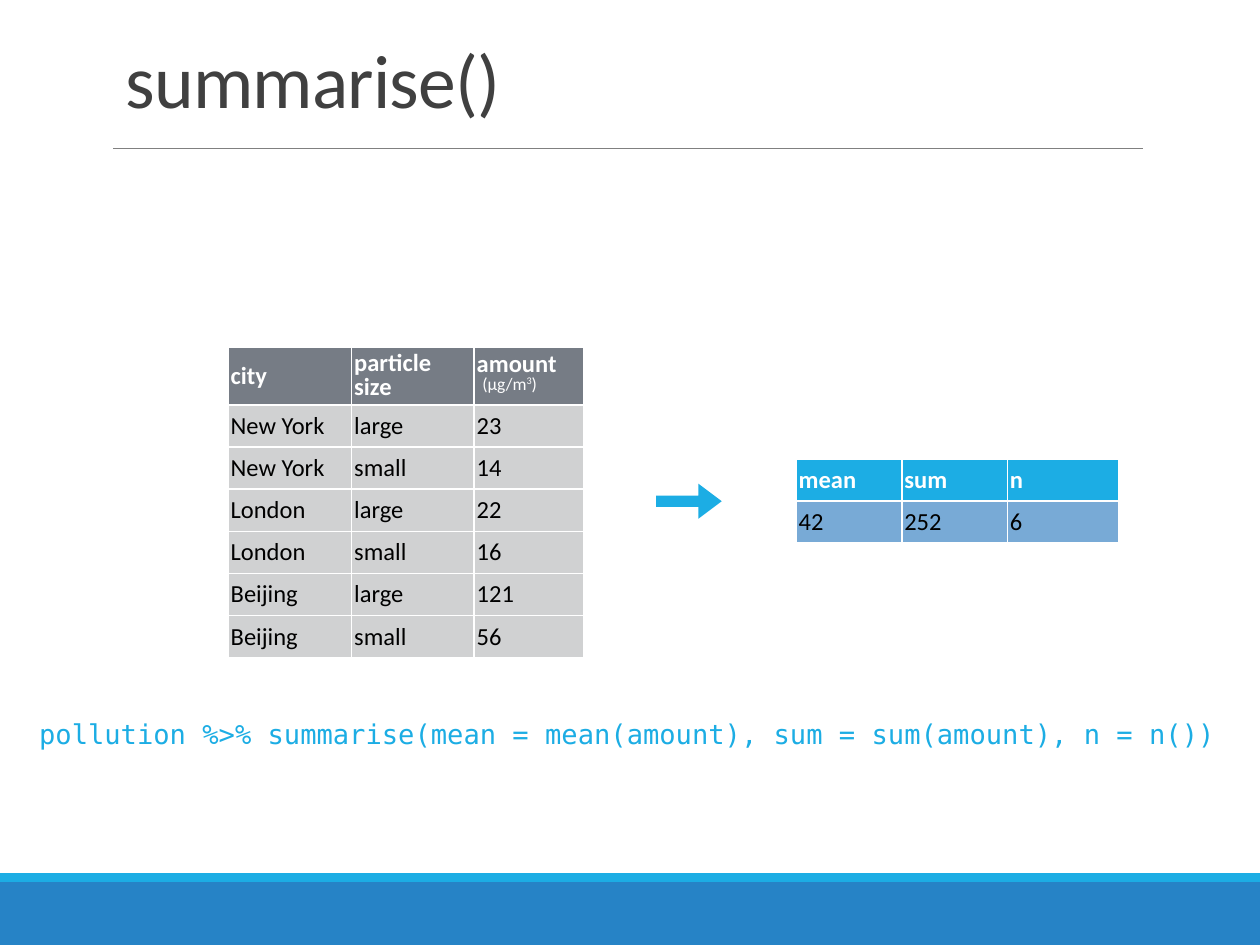
from lxml import etree
from pptx import Presentation
from pptx.dml.color import RGBColor
from pptx.enum.shapes import MSO_CONNECTOR, MSO_SHAPE
from pptx.enum.text import MSO_ANCHOR, PP_ALIGN
from pptx.oxml.ns import qn
from pptx.util import Cm, Pt

RECTANGLE, RIGHT_ARROW = MSO_SHAPE.RECTANGLE, MSO_SHAPE.RIGHT_ARROW
STRAIGHT = MSO_CONNECTOR.STRAIGHT
TOP, MIDDLE, BOTTOM = MSO_ANCHOR.TOP, MSO_ANCHOR.MIDDLE, MSO_ANCHOR.BOTTOM
LEFT = PP_ALIGN.LEFT

COLORS = {
    "band": "2683C6", "accent": "1CADE4", "rule": "808080", "title": "404040",
    "white": "FFFFFF", "black": "000000", "data_head": "767C85",
    "data_body": "D0D1D2", "summary_body": "78AAD6",
}
BODY_FONT, CODE_FONT = "Calibri", "DejaVu Sans Mono"
ROW_HEIGHT = 0.85

POLLUTION = [
    ["city", "particle\vsize", "amount"],
    ["New York", "large", "23"],
    ["New York", "small", "14"],
    ["London", "large", "22"],
    ["London", "small", "16"],
    ["Beijing", "large", "121"],
    ["Beijing", "small", "56"],
]
SUMMARY = [["mean", "sum", "n"], ["42", "252", "6"]]


def rgb(name):
    return RGBColor.from_string(COLORS[name])


def style_font(font, size, color, name=BODY_FONT, bold=False):
    font.name, font.size, font.bold = name, Pt(size), bold
    font.color.rgb = rgb(color)


def add_block(slide, kind, left, top, width, height, color):
    block = slide.shapes.add_shape(kind, Cm(left), Cm(top), Cm(width), Cm(height))
    block.shadow.inherit = False
    block.fill.solid()
    block.fill.fore_color.rgb = rgb(color)
    block.line.fill.background()
    return block


def add_rule(slide, left, right, y):
    rule = slide.shapes.add_connector(STRAIGHT, Cm(left), Cm(y), Cm(right), Cm(y))
    rule.line.color.rgb = rgb("rule")
    rule.line.width = Pt(0.5)
    etree.SubElement(rule.line._get_or_add_ln().getparent(), qn("a:effectLst"))


def add_text(slide, text, left, top, width, height, anchor, inset):
    box = slide.shapes.add_textbox(Cm(left), Cm(top), Cm(width), Cm(height))
    frame = box.text_frame
    frame.word_wrap = True
    frame.vertical_anchor = anchor
    frame.margin_left = frame.margin_right = Cm(inset)
    frame.margin_top = frame.margin_bottom = Cm(min(inset, 0.13))
    frame.text = text
    return frame.paragraphs[0]


def add_borders(cell):
    properties = cell._tc.get_or_add_tcPr()
    for side in ("a:lnL", "a:lnR", "a:lnT", "a:lnB"):
        border = etree.SubElement(properties, qn(side), w=str(Pt(1)))
        fill = etree.SubElement(border, qn("a:solidFill"))
        etree.SubElement(fill, qn("a:srgbClr"), val=COLORS["white"])


def fill_cell(cell, text, fill, color, bold):
    add_borders(cell)
    cell.fill.solid()
    cell.fill.fore_color.rgb = rgb(fill)
    cell.vertical_anchor = MIDDLE
    cell.margin_left = cell.margin_right = Cm(0.05)
    cell.margin_top = cell.margin_bottom = Cm(0.05)
    cell.text = text
    paragraph = cell.text_frame.paragraphs[0]
    paragraph.alignment = LEFT
    style_font(paragraph.font, 14, color, bold=bold)
    for run in paragraph.runs:
        style_font(run.font, 14, color, bold=bold)


def add_data_table(slide, rows, left, top, widths, head_height, head_fill, body_fill):
    heights = [head_height] + [ROW_HEIGHT] * (len(rows) - 1)
    table = slide.shapes.add_table(len(rows), len(widths), Cm(left), Cm(top),
                                   Cm(sum(widths)), Cm(sum(heights))).table
    for column, width in zip(table.columns, widths):
        column.width = Cm(width)
    for r, (values, height) in enumerate(zip(rows, heights)):
        table.rows[r].height = Cm(height)
        head = r == 0
        for c, value in enumerate(values):
            fill_cell(table.cell(r, c), value, head_fill if head else body_fill,
                      "white" if head else "black", head)
    return table


def add_unit(cell):
    """Put the unit below the heading, with a raised exponent."""
    unit = cell.text_frame.add_paragraph()
    unit.alignment = LEFT
    for text, size in ((" ", 14), ("(µg/m", 10), ("3", 10), (")", 10)):
        run = unit.add_run()
        run.text = text
        style_font(run.font, size, "white")
        if text == "3":
            run.font._element.set("baseline", "32000")
    for paragraph in cell.text_frame.paragraphs:
        paragraph.line_spacing = 0.6


def main():
    deck = Presentation()
    deck.slide_width, deck.slide_height = Cm(25.4), Cm(19.05)
    slide = deck.slides.add_slide(deck.slide_layouts[6])

    # Footer bands and title rule
    add_block(slide, RECTANGLE, 0, 17.78, 25.4, 1.27, "band")
    add_block(slide, RECTANGLE, 0, 17.6, 25.4, 0.18, "accent")
    add_rule(slide, 2.28, 23.04, 2.99)

    # Code line
    code = add_text(slide, "pollution %>% summarise(mean = mean(amount), "
                    "sum = sum(amount), n = n())", 0.71, 14.38, 24.03, 1.17, TOP, 0.08)
    code.space_before = Pt(3.4)
    style_font(code.font, 15.5, "accent", CODE_FONT)

    # Source data, arrow and summary
    arrow = add_block(slide, RIGHT_ARROW, 13.23, 9.75, 1.32, 0.71, "accent")
    arrow.adjustments[0], arrow.adjustments[1] = 0.32, 0.665
    add_data_table(slide, SUMMARY, 16.05, 9.25, [2.13, 2.13, 2.24], ROW_HEIGHT,
                   "accent", "summary_body")
    data = add_data_table(slide, POLLUTION, 4.6, 7, [2.49, 2.47, 2.2], 1.16,
                          "data_head", "data_body")
    data.cell(0, 1).text_frame.paragraphs[0].line_spacing = 0.8
    add_unit(data.cell(0, 2))

    # Title
    title = add_text(slide, "summarise()", 2.29, 0.79, 20.96, 1.83, BOTTOM, 0.25)
    title.line_spacing = 0.85
    style_font(title.font, 43.2, "title")
    title.runs[0].font._element.set("spc", "-50")

    deck.save("out.pptx")


if __name__ == "__main__":
    main()
